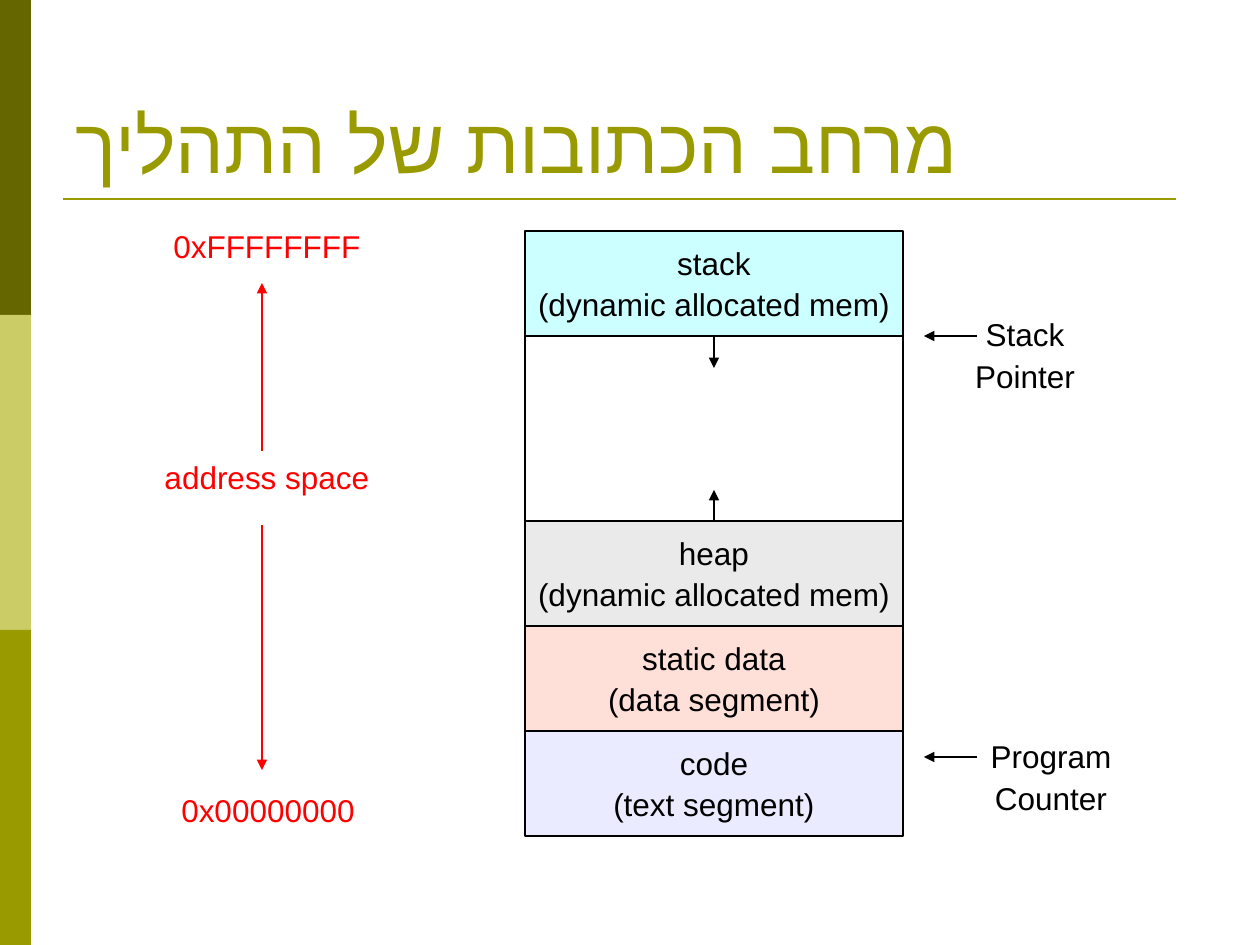
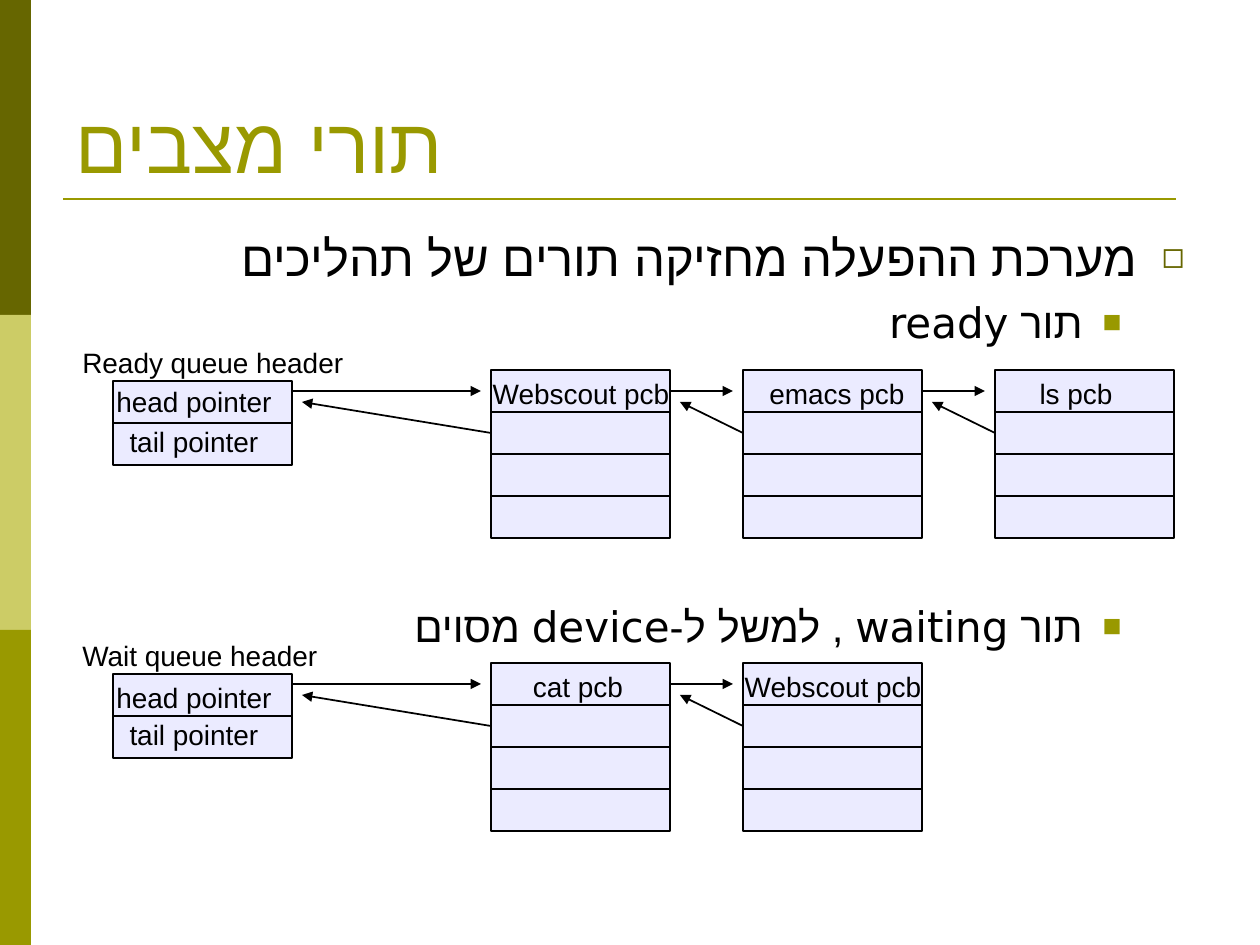
from dataclasses import dataclass
from typing import Optional

from lxml import etree
from pptx import Presentation
from pptx.dml.color import RGBColor
from pptx.enum.shapes import MSO_CONNECTOR, MSO_SHAPE
from pptx.enum.text import MSO_ANCHOR, MSO_AUTO_SIZE, PP_ALIGN
from pptx.oxml.ns import qn
from pptx.util import Emu, Pt

RECTANGLE = MSO_SHAPE.RECTANGLE
STRAIGHT = MSO_CONNECTOR.STRAIGHT
TOP, MIDDLE, BOTTOM = MSO_ANCHOR.TOP, MSO_ANCHOR.MIDDLE, MSO_ANCHOR.BOTTOM
LEFT, CENTER, RIGHT = PP_ALIGN.LEFT, PP_ALIGN.CENTER, PP_ALIGN.RIGHT
NO_AUTOFIT = MSO_AUTO_SIZE.NONE
TOP_SIDE, LEFT_SIDE, BOTTOM_SIDE, RIGHT_SIDE = range(4)

BLACK = RGBColor(0x00, 0x00, 0x00)
WHITE = RGBColor(0xFF, 0xFF, 0xFF)
RED = RGBColor(0xFF, 0x00, 0x00)
DARK_OLIVE = RGBColor(0x66, 0x66, 0x00)
PALE_OLIVE = RGBColor(0xCC, 0xCC, 0x66)
OLIVE = RGBColor(0x99, 0x99, 0x00)
CYAN = RGBColor(0xCC, 0xFF, 0xFF)
GRAY = RGBColor(0xEA, 0xEA, 0xEA)
PINK = RGBColor(0xFF, 0xE0, 0xD9)
LAVENDER = RGBColor(0xEB, 0xEB, 0xFF)

LABEL_FONT, TITLE_FONT, BODY_FONT = "Arial", "Times New Roman", "DejaVu Sans"
HEBREW_FONT = BULLET_FONT = "Arial"
PIXELS_PER_INCH = 126
SLIDE_WIDTH, SLIDE_HEIGHT = 1260, 945


@dataclass(frozen=True)
class Segment:
    text: str
    height: int
    fill: RGBColor


@dataclass(frozen=True)
class Label:
    text: str
    center: int
    top: int
    color: RGBColor = BLACK


@dataclass(frozen=True)
class Arrow:
    start: tuple[int, int]
    end: tuple[int, int]
    color: RGBColor = BLACK


@dataclass(frozen=True)
class Node:
    text: str
    shift: int  # label centre relative to box centre


@dataclass(frozen=True)
class Bullet:
    text: str
    size: int
    margin: int
    hanging: int
    symbol: str
    color: RGBColor
    space: float


@dataclass(frozen=True)
class Queue:
    header: str
    top: int
    head_offset: int
    nodes: tuple[Node, ...]


SEGMENTS = (
    Segment("stack\n(dynamic allocated mem)", 105, CYAN),
    Segment("", 185, WHITE),
    Segment("heap\n(dynamic allocated mem)", 105, GRAY),
    Segment("static data\n(data segment)", 105, PINK),
    Segment("code\n(text segment)", 105, LAVENDER),
)
MEMORY_LABELS = (
    Label("0xFFFFFFFF", 267, 221, RED),
    Label("address space", 267, 452, RED),
    Label("0x00000000", 268, 785, RED),
    Label("Stack\nPointer", 1025, 309),
    Label("Program\nCounter", 1051, 731),
)
MEMORY_ARROWS = (
    Arrow((262, 451), (262, 283), RED),
    Arrow((262, 525), (262, 770), RED),
    Arrow((977, 336), (924, 336)),
    Arrow((977, 757), (924, 757)),
)
BULLETS = (
    Bullet("מערכת ההפעלה מחזיקה תורים של תהליכים", 28, 47, 47, "◻", DARK_OLIVE, 0),
    Bullet("תור ready", 24, 102, 39, "■", OLIVE, 6),
    Bullet("תור waiting , למשל ל-device מסוים", 24, 102, 39, "■", OLIVE, 145),
)
QUEUES = (
    Queue("Ready queue header", 370, 8,
          (Node("Webscout pcb", 1), Node("emacs pcb", 5), Node("ls pcb", -8))),
    Queue("Wait queue header", 663, 11,
          (Node("cat pcb", -2), Node("Webscout pcb", 1))),
)
BOX_WIDTH, ROW_HEIGHT = 179, 42
HEADER_LEFT, FIRST_NODE_LEFT, NODE_PITCH = 113, 491, 252
ARROW_GAP = 10
LABEL_WIDTH = 340  # wide enough for every label to stay on its line


def px(length: int) -> Emu:
    return Emu(round(length * 914400 / PIXELS_PER_INCH))


def write(frame, text: str, *, size: int = 18, color: RGBColor = BLACK,
          font: str = LABEL_FONT, align=CENTER, space: float = 0,
          rtl: bool = False, bullet: Optional[Bullet] = None) -> None:
    """Add each line of text as a paragraph; space separates the lines."""
    for line in text.split("\n"):
        first = not frame.text
        paragraph = frame.paragraphs[0] if first else frame.add_paragraph()
        properties = paragraph._p.get_or_add_pPr()
        if bullet:
            properties.set("marL", str(px(bullet.margin)))
            properties.set("indent", str(-px(bullet.hanging)))
            color_element = etree.SubElement(properties, qn("a:buClr"))
            etree.SubElement(color_element, qn("a:srgbClr"), val=str(bullet.color))
            etree.SubElement(properties, qn("a:buSzPct"), val="75000")
            etree.SubElement(properties, qn("a:buFont"), typeface=BULLET_FONT)
            etree.SubElement(properties, qn("a:buChar"), char=bullet.symbol)
        if rtl:
            properties.set("rtl", "1")
        paragraph.alignment = align
        if space and not first:
            paragraph.space_before = Pt(space)
        run = paragraph.add_run()
        run.text = line
        run.font.size, run.font.name = Pt(size), font
        run.font.color.rgb = color
        if rtl:
            etree.SubElement(run._r.get_or_add_rPr(), qn("a:cs"), typeface=HEBREW_FONT)


def add_box(slide, left: int, top: int, width: int, height: int,
            fill: RGBColor, outlined: bool = True):
    shape = slide.shapes.add_shape(RECTANGLE, px(left), px(top), px(width), px(height))
    shape.shadow.inherit = False
    shape.fill.solid()
    shape.fill.fore_color.rgb = fill
    if outlined:
        shape.line.color.rgb, shape.line.width = BLACK, Pt(1)
    else:
        shape.line.fill.background()
    return shape


def add_line(slide, start: tuple[int, int], end: tuple[int, int], *,
             color: RGBColor = BLACK, width: float = 1, arrow: bool = False):
    line = slide.shapes.add_connector(STRAIGHT, *map(px, start + end))
    line.line.color.rgb, line.line.width = color, Pt(width)
    if arrow:
        etree.SubElement(line.line._get_or_add_ln(), qn("a:tailEnd"), type="triangle")
    etree.SubElement(line._element.spPr, qn("a:effectLst"))
    return line


def add_label(slide, text: str, center: int, top: int, **text_format) -> None:
    height = 48 + 42 * text.count("\n")
    box = slide.shapes.add_textbox(px(center - LABEL_WIDTH // 2), px(top),
                                   px(LABEL_WIDTH), px(height))
    box.text_frame.word_wrap = False
    write(box.text_frame, text, **text_format)


def new_slide(presentation, title: str):
    slide = presentation.slides.add_slide(presentation.slide_layouts[5])
    # Side bands and title rule
    band_height = SLIDE_HEIGHT // 3
    for index, color in enumerate((DARK_OLIVE, PALE_OLIVE, OLIVE)):
        add_box(slide, 0, index * band_height, 31, band_height, color, outlined=False)
    add_line(slide, (63, 199), (1176, 199), color=OLIVE, width=1.5)
    # Title
    shape = slide.shapes.title
    shape.left, shape.top, shape.width, shape.height = map(px, (63, 38, 1134, 157))
    frame = shape.text_frame
    frame.vertical_anchor, frame.auto_size, frame.word_wrap = BOTTOM, NO_AUTOFIT, True
    write(frame, title, size=44, color=OLIVE, font=TITLE_FONT, align=LEFT, rtl=True)
    return slide


def build_memory_slide(presentation) -> None:
    slide = new_slide(presentation, "מרחב הכתובות של התהליך")
    # Memory segments, from the highest address down
    boxes, top = [], 231
    for segment in SEGMENTS:
        box = add_box(slide, 525, top, 378, segment.height, segment.fill)
        if segment.text:
            box.text_frame.vertical_anchor = MIDDLE
            box.text_frame.word_wrap = False
            write(box.text_frame, segment.text, space=2.2)
        boxes.append(box)
        top += segment.height
    # Growth directions of stack and heap
    stack, _, heap = boxes[:3]
    add_line(slide, (714, 336), (714, 368), arrow=True).begin_connect(stack, BOTTOM_SIDE)
    add_line(slide, (714, 521), (714, 490), arrow=True).begin_connect(heap, TOP_SIDE)
    # Address range and registers
    for arrow in MEMORY_ARROWS:
        add_line(slide, arrow.start, arrow.end, color=arrow.color, arrow=True)
    for label in MEMORY_LABELS:
        add_label(slide, label.text, label.center, label.top, color=label.color, space=2.2)


def add_rows(slide, left: int, top: int, rows: int) -> None:
    """Draw a box divided into equal rows."""
    box = add_box(slide, left, top, BOX_WIDTH, rows * ROW_HEIGHT, LAVENDER)
    for row in range(1, rows):
        y = top + row * ROW_HEIGHT
        divider = add_line(slide, (left, y), (left + BOX_WIDTH, y))
        if 2 * row == rows:
            divider.begin_connect(box, LEFT_SIDE)
            divider.end_connect(box, RIGHT_SIDE)


def add_queue(slide, queue: Queue) -> None:
    top = queue.top
    # Header with its two pointers
    add_label(slide, queue.header, 240, top - 31, size=16, align=LEFT)
    add_rows(slide, HEADER_LEFT, top + 11, rows=2)
    add_label(slide, "head pointer", 194, top + queue.head_offset, size=16)
    add_label(slide, "tail pointer", 194, top + 48, size=16)
    # Linked process blocks
    previous_right = HEADER_LEFT + BOX_WIDTH
    for index, node in enumerate(queue.nodes):
        left = FIRST_NODE_LEFT + index * NODE_PITCH
        add_rows(slide, left, top, rows=4)
        add_label(slide, node.text, left + BOX_WIDTH // 2 + node.shift, top, size=16)
        add_line(slide, (previous_right, top + 21), (left - ARROW_GAP, top + 21), arrow=True)
        add_line(slide, (left, top + 63), (previous_right + ARROW_GAP, top + 32), arrow=True)
        previous_right = left + BOX_WIDTH


def build_queues_slide(presentation) -> None:
    slide = new_slide(presentation, "תורי מצבים")
    # Bulleted text
    body = slide.shapes.add_textbox(*map(px, (63, 221, 1134, 624)))
    frame = body.text_frame
    frame.word_wrap, frame.vertical_anchor = True, TOP
    for bullet in BULLETS:
        write(frame, bullet.text, size=bullet.size, font=BODY_FONT, align=RIGHT,
              space=bullet.space, rtl=True, bullet=bullet)
    # Queue diagrams
    for queue in QUEUES:
        add_queue(slide, queue)


def main() -> None:
    presentation = Presentation()
    presentation.slide_width, presentation.slide_height = px(SLIDE_WIDTH), px(SLIDE_HEIGHT)
    build_memory_slide(presentation)
    build_queues_slide(presentation)
    presentation.save("out.pptx")


if __name__ == "__main__":
    main()
